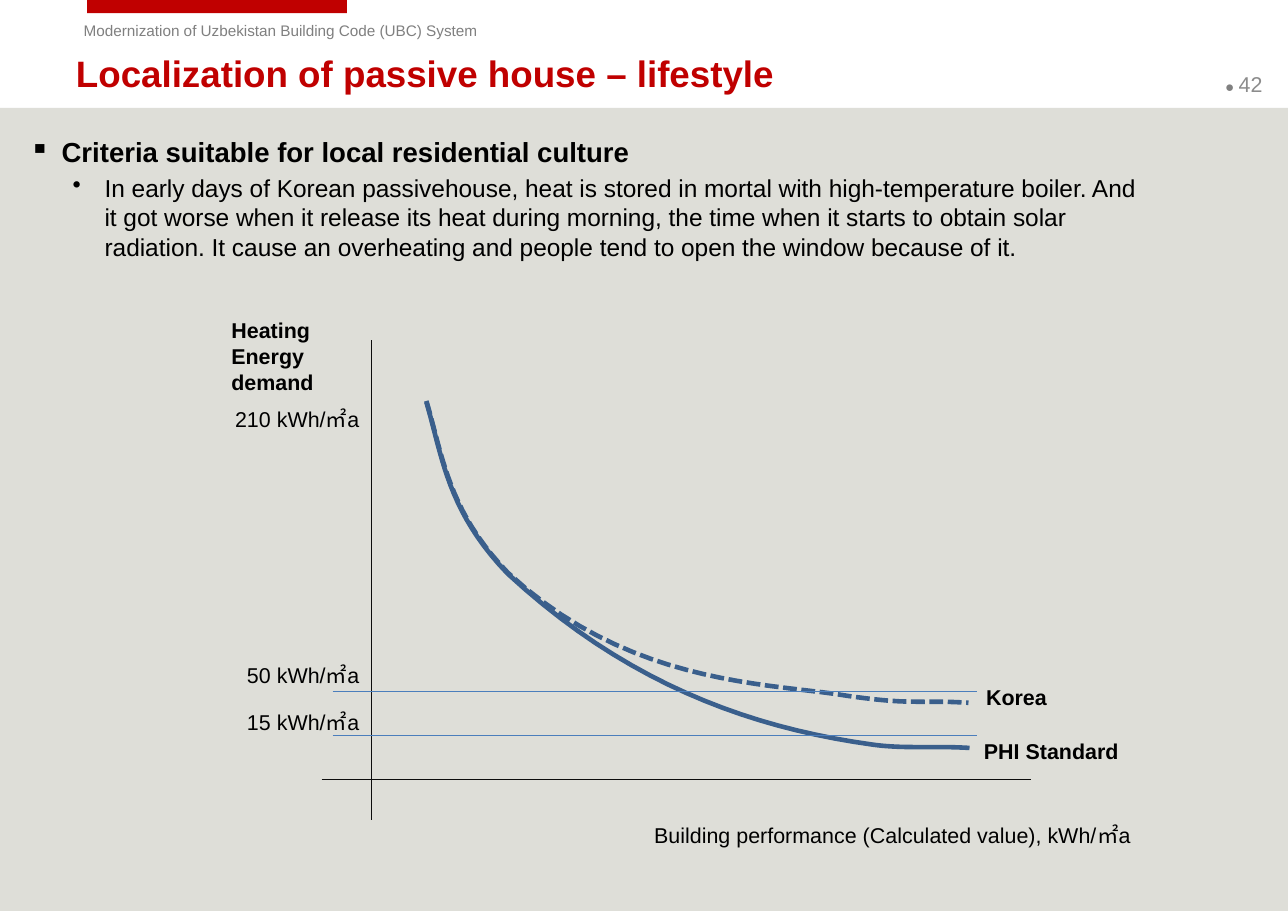
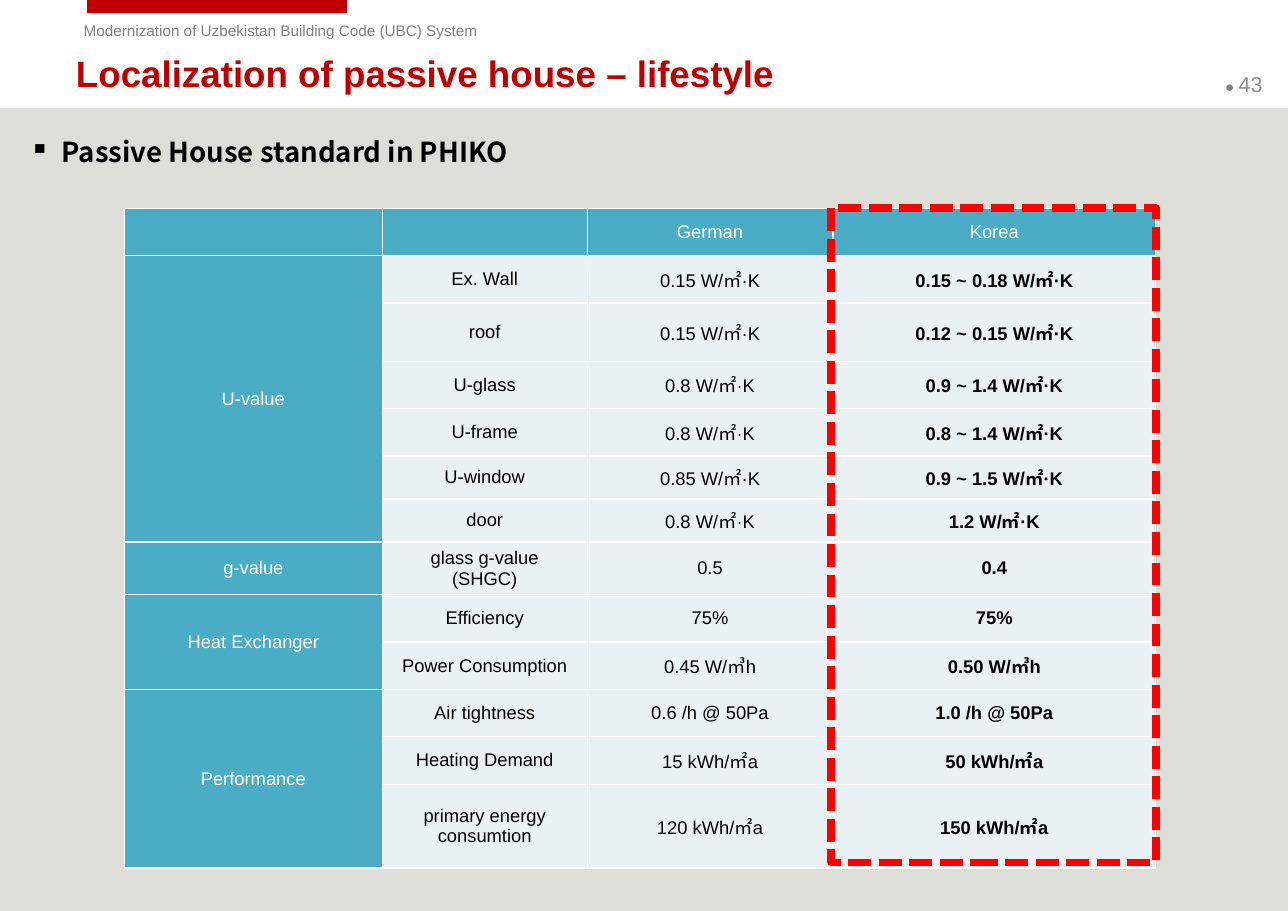
from lxml import etree
from pptx import Presentation
from pptx.dml.color import RGBColor
from pptx.enum.dml import MSO_LINE
from pptx.enum.shapes import MSO_CONNECTOR, MSO_SHAPE
from pptx.enum.text import MSO_ANCHOR, PP_ALIGN
from pptx.oxml.ns import qn
from pptx.util import Inches, Pt

RECTANGLE = MSO_SHAPE.RECTANGLE
STRAIGHT = MSO_CONNECTOR.STRAIGHT
DASHED = MSO_LINE.SQUARE_DOT
LEFT, CENTER, RIGHT = PP_ALIGN.LEFT, PP_ALIGN.CENTER, PP_ALIGN.RIGHT
TOP, MIDDLE = MSO_ANCHOR.TOP, MSO_ANCHOR.MIDDLE

FONT = "Arial"
HEADING_FONT = "Noto Sans CJK KR"
COLORS = {
    "background": "DEDED8", "accent": "C00000", "header": "808080", "number": "8C8C8C",
    "text": "000000", "axis": "0D0D0D", "curve": "3A5F8C", "level": "4B7EBC",
    "table head": "4BACC6", "table body": "E9F1F5", "white": "FFFFFF", "frame": "FF0000",
}
RGB = {name: RGBColor.from_string(value) for name, value in COLORS.items()}


def set_font(paragraph, size, color, bold=False, name=FONT):
    font = paragraph.font
    font.name, font.size, font.bold = name, Pt(size), bold
    font.color.rgb = RGB[color]


def add_text(slide, at, lines, size, color="text", bold=False, align=LEFT, anchor=TOP):
    """Add a wrapping text box with one paragraph per line and return its text frame."""
    frame = slide.shapes.add_textbox(*map(Inches, at)).text_frame
    frame.word_wrap = True
    frame.vertical_anchor = anchor
    frame.margin_left = frame.margin_right = Inches(0.11)
    frame.margin_top = frame.margin_bottom = Inches(0.05)
    frame.text = "\n".join(lines)
    for paragraph in frame.paragraphs:
        paragraph.alignment = align
        set_font(paragraph, size, color, bold)
    return frame


presentation = Presentation()
presentation.slide_width = Inches(11.69)
presentation.slide_height = Inches(8.27)
blank_layout = presentation.slide_layouts[6]

# Shared header and bulleted text: level, words, size, bold, font
pages = [
    (42, [
        (0, "Criteria suitable for local residential culture", 18, True, FONT),
        (1, "In early days of Korean passivehouse, heat is stored in mortal with "
            "high-temperature boiler. And it got worse when it release its heat during "
            "morning, the time when it starts to obtain solar radiation. It cause an "
            "overheating and people tend to open the window because of it.", 16, False, FONT),
    ]),
    (43, [(0, "Passive House standard in PHIKO", 18, True, HEADING_FONT)]),
]
bullet_levels = [("▪", 0.29), ("•", 0.68)]

for number, bullets in pages:
    slide = presentation.slides.add_slide(blank_layout)
    for at, color in [((0, 0.98, 11.69, 7.29), "background"),
                      ((0.79, 0, 2.36, 0.12), "accent")]:
        band = slide.shapes.add_shape(RECTANGLE, *map(Inches, at))
        band.shadow.inherit = False
        band.fill.solid()
        band.fill.fore_color.rgb = RGB[color]
        band.line.fill.background()
    add_text(slide, (0.65, 0.14, 4.68, 0.27),
             ["Modernization of Uzbekistan Building Code (UBC) System"], 10, "header")
    add_text(slide, (0.58, 0.46, 10.4, 0.4),
             ["Localization of passive house – lifestyle"], 24, "accent", True, anchor=MIDDLE)
    number_frame = add_text(slide, (11.01, 0.54, 0.68, 0.44), ["● "], 10, "header", anchor=MIDDLE)
    number_run = number_frame.paragraphs[0].add_run()
    number_run.text = str(number)
    number_run.font.size = Pt(14)
    number_run.font.color.rgb = RGB["number"]

    body = add_text(slide, (0.16, 1.18, 10.33, 1.42), [text for _, text, *_ in bullets], 18)
    for index, (paragraph, bullet) in enumerate(zip(body.paragraphs, bullets)):
        level, _, size, bold, font_name = bullet
        symbol, indent = bullet_levels[level]
        paragraph.level = level
        if index:
            paragraph.space_before = Pt(3)
        properties = paragraph._p.get_or_add_pPr()
        properties.set("marL", str(Inches(indent)))
        properties.set("indent", str(-Inches(0.29)))
        character = etree.Element(qn("a:buChar"), char=symbol)
        properties.find(qn("a:defRPr")).addprevious(character)
        set_font(paragraph, size, "text", bold, font_name)

chart_slide, table_slide = presentation.slides

# Heating demand diagram
curves = [
    ([(3.87, 3.65), (4.02, 4.16), (4.06, 4.64), (4.61, 5.21), (5.66, 6.18), (6.76, 6.6),
      (7.92, 6.76), (8.21, 6.8), (8.47, 6.77), (8.8, 6.79)], None),
    ([(3.87, 3.64), (4.02, 4.15), (4.07, 4.64), (4.61, 5.2), (5.67, 6.18), (6.87, 6.2),
      (7.58, 6.3), (8.28, 6.41), (8.31, 6.35), (8.79, 6.38)], DASHED),
]
STEPS = 20
for controls, dash in curves:
    points = []
    for first in range(0, len(controls) - 1, 3):
        segment = controls[first:first + 4]
        for step in range(1, STEPS + 1):
            t = step / STEPS
            weights = ((1 - t) ** 3, 3 * t * (1 - t) ** 2, 3 * t ** 2 * (1 - t), t ** 3)
            points.append(tuple(
                Inches(sum(weight * value for weight, value in zip(weights, values)))
                for values in zip(*segment)))
    builder = chart_slide.shapes.build_freeform(*map(Inches, controls[0]))
    builder.add_line_segments(points, close=False)
    curve = builder.convert_to_shape()
    curve.shadow.inherit = False
    curve.fill.background()
    curve.line.color.rgb = RGB["curve"]
    curve.line.width = Pt(3)
    curve.line.dash_style = dash

for ends, color in [((3.37, 3.09, 3.37, 7.44), "axis"), ((2.92, 7.08, 9.36, 7.08), "axis"),
                    ((3.02, 6.68, 8.87, 6.68), "level"), ((3.02, 6.28, 8.87, 6.28), "level")]:
    line = chart_slide.shapes.add_connector(STRAIGHT, *map(Inches, ends))
    line.line.color.rgb = RGB[color]
    line.line.width = Pt(0.75)
    etree.SubElement(line._element.spPr, qn("a:effectLst"))

for text, top in [("210 kWh/㎡a", 3.64), ("50 kWh/㎡a", 5.96), ("15 kWh/㎡a", 6.39)]:
    add_text(chart_slide, (1.37, top, 2, 0.43), [text], 14, align=RIGHT)
add_text(chart_slide, (3.42, 7.41, 6.95, 0.43),
         ["Building performance (Calculated value), kWh/㎡a"], 14, align=RIGHT)
add_text(chart_slide, (1.99, 2.83, 1.3, 0.82), ["Heating", "Energy", "demand"], 14, bold=True)
add_text(chart_slide, (8.84, 6.16, 1.06, 0.43), ["Korea"], 14, bold=True)
add_text(chart_slide, (8.82, 6.65, 1.99, 0.43), ["PHI Standard"], 14, bold=True)

# Standards table
rows = [
    ("", "", "German", "Korea"),
    ("U-value", "Ex. Wall", "0.15 W/㎡·K", "0.15 ~ 0.18 W/㎡·K"),
    ("", "roof", "0.15 W/㎡·K", "0.12 ~ 0.15 W/㎡·K"),
    ("", "U-glass", "0.8 W/㎡·K", "0.9 ~ 1.4 W/㎡·K"),
    ("", "U-frame", "0.8 W/㎡·K", "0.8 ~ 1.4 W/㎡·K"),
    ("", "U-window", "0.85 W/㎡·K", "0.9 ~ 1.5 W/㎡·K"),
    ("", "door", "0.8 W/㎡·K", "1.2 W/㎡·K"),
    ("g-value", "glass g-value\v(SHGC)", "0.5", "0.4"),
    ("Heat Exchanger", "Efficiency", "75%", "75%"),
    ("", "Power Consumption", "0.45 W/㎥h", "0.50 W/㎥h"),
    ("Performance", "Air tightness", "0.6 /h @ 50Pa", "1.0 /h @ 50Pa"),
    ("", "Heating Demand", "15 kWh/㎡a", "50 kWh/㎡a"),
    ("", "primary energy consumtion", "120 kWh/㎡a", "150 kWh/㎡a"),
]
column_widths = [2.34, 1.86, 2.23, 2.93]
row_heights = [0.43, 0.43, 0.53, 0.43, 0.43, 0.39, 0.39, 0.43, 0.43, 0.43, 0.43, 0.43, 0.76]
table = table_slide.shapes.add_table(
    len(rows), len(column_widths), Inches(1.13), Inches(1.89),
    Inches(sum(column_widths)), Inches(sum(row_heights))).table
table.first_row = table.horz_banding = False
for column, width in zip(table.columns, column_widths):
    column.width = Inches(width)
for row, height in zip(table.rows, row_heights):
    row.height = Inches(height)

for row_index, row_texts in enumerate(rows):
    for column_index, text in enumerate(row_texts):
        is_head = row_index == 0 or column_index == 0
        cell = table.cell(row_index, column_index)
        cell.text = text
        cell.vertical_anchor = MIDDLE
        cell.margin_left = cell.margin_right = Inches(0.08)
        cell.margin_top = cell.margin_bottom = Inches(0.04)
        cell_properties = cell._tc.get_or_add_tcPr()
        for side in ("a:lnL", "a:lnR", "a:lnT", "a:lnB"):
            border = etree.SubElement(cell_properties, qn(side), w=str(Pt(1)))
            border_fill = etree.SubElement(border, qn("a:solidFill"))
            etree.SubElement(border_fill, qn("a:srgbClr"), val=COLORS["white"])
        cell.fill.solid()
        cell.fill.fore_color.rgb = RGB["table head" if is_head else "table body"]
        paragraph = cell.text_frame.paragraphs[0]
        paragraph.alignment = CENTER
        set_font(paragraph, 12, "white" if is_head else "text",
                 bold=column_index == 3 and not is_head)

for first_row, last_row in [(1, 6), (8, 9), (10, 12)]:
    table.cell(first_row, 0).merge(table.cell(last_row, 0))

korea_frame = table_slide.shapes.add_shape(
    RECTANGLE, Inches(7.54), Inches(1.89), Inches(2.95), Inches(5.94))
korea_frame.shadow.inherit = False
korea_frame.fill.background()
korea_frame.line.color.rgb = RGB["frame"]
korea_frame.line.width = Pt(5)
korea_frame.line.dash_style = DASHED

presentation.save("out.pptx")
